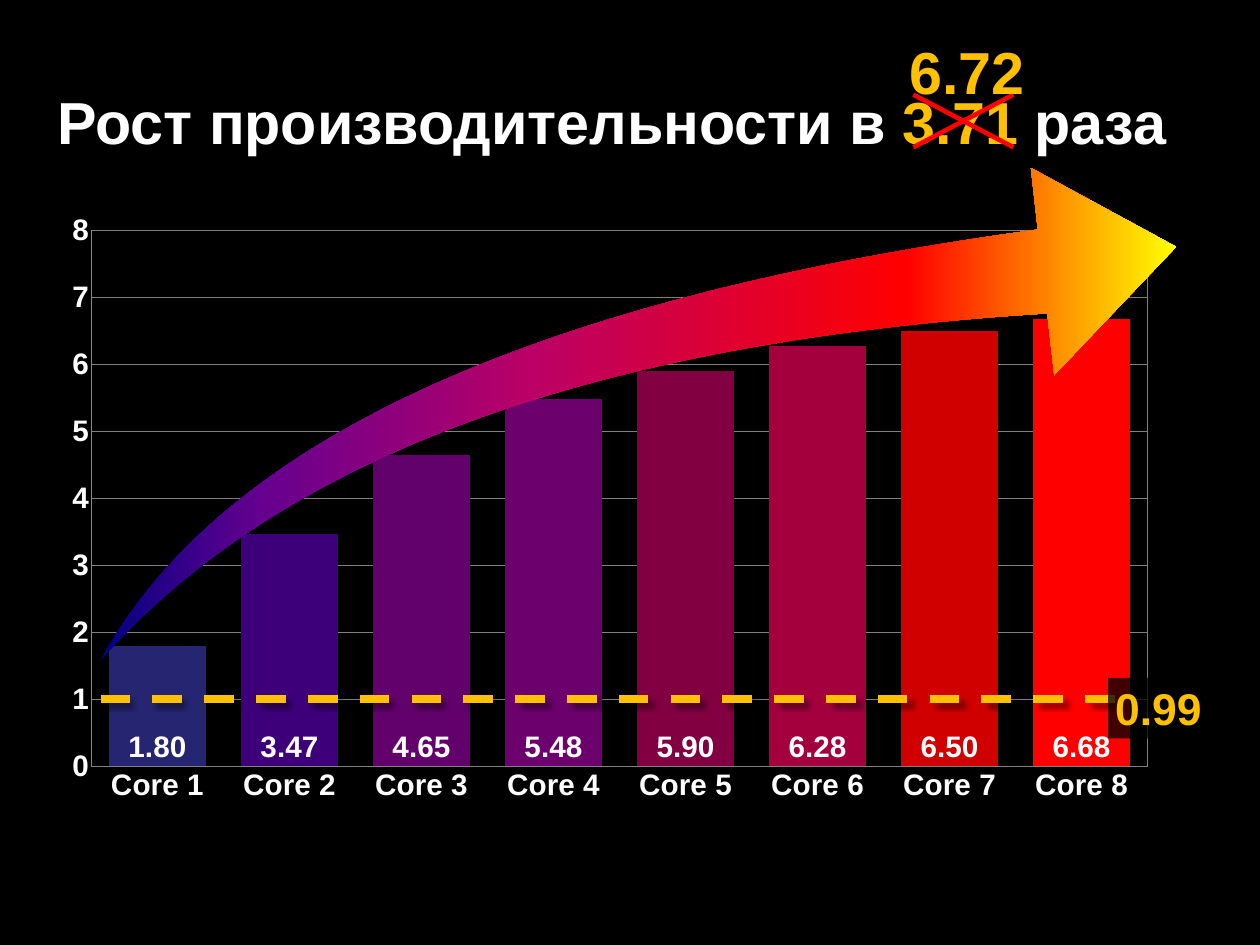
from lxml import etree
from pptx import Presentation
from pptx.chart.data import CategoryChartData
from pptx.dml.color import RGBColor
from pptx.enum.chart import XL_CHART_TYPE, XL_LABEL_POSITION, XL_TICK_MARK
from pptx.enum.dml import MSO_LINE
from pptx.enum.shapes import MSO_CONNECTOR, MSO_SHAPE
from pptx.enum.text import MSO_ANCHOR
from pptx.oxml import parse_xml
from pptx.oxml.ns import nsdecls, qn
from pptx.util import Inches, Pt

COLUMNS = XL_CHART_TYPE.COLUMN_CLUSTERED
INSIDE_BASE = XL_LABEL_POSITION.INSIDE_BASE
NO_TICK = XL_TICK_MARK.NONE
STRAIGHT = MSO_CONNECTOR.STRAIGHT
DASH = MSO_LINE.DASH
RECTANGLE = MSO_SHAPE.RECTANGLE
SWOOSH = MSO_SHAPE.SWOOSH_ARROW
MIDDLE = MSO_ANCHOR.MIDDLE

FONT = "Arial"
COLORS = {
    "background": "000000",
    "text": "FFFFFF",
    "accent": "FFC000",
    "cross": "FF0000",
    "grid": "808080",
    "axis": "00CC99",
}
SPEEDUPS = [1.8, 3.47, 4.65, 5.48, 5.9, 6.28, 6.5, 6.68]
BAR_COLORS = ["252571", "3D007A", "62006C", "6C006C",
              "820041", "A4003E", "D00000", "FF0000"]
ARROW_STOPS = [(0, "000082"), (15, "66008F"), (40, "BA0066"),
               (75, "FF0000"), (100, "FFFF00")]
PLOT_LAYOUT = {"x": 0.061, "y": 0.042, "w": 0.927, "h": 0.873}


def rgb(name):
    return RGBColor.from_string(COLORS[name])


def set_font(font, size, color=None):
    font.name = FONT
    font.size = Pt(size)
    font.bold = True
    if color:
        font.color.rgb = rgb(color)


def add_text(slide, box, runs, size, inset=None, anchor=None):
    """Add one line of text from (wording, colour) pairs."""
    frame = slide.shapes.add_textbox(*map(Inches, box)).text_frame
    frame.word_wrap = True
    if inset is not None:
        frame.margin_left = frame.margin_right = Inches(inset)
        frame.margin_top = frame.margin_bottom = Inches(inset)
    if anchor is not None:
        frame.vertical_anchor = anchor
    paragraph = frame.paragraphs[0]
    set_font(paragraph.font, size)
    for wording, color in runs:
        run = paragraph.add_run()
        run.text = wording
        set_font(run.font, size, color)


def add_line(slide, start, end, color, width, effects=""):
    line = slide.shapes.add_connector(STRAIGHT, *map(Inches, start + end))
    line.line.color.rgb = rgb(color)
    line.line.width = Pt(width)
    line._element.spPr.append(parse_xml(
        f'<a:effectLst {nsdecls("a")}>{effects}</a:effectLst>'))
    return line


def style_axis(axis, line_color):
    axis.major_tick_mark = axis.minor_tick_mark = NO_TICK
    set_font(axis.tick_labels.font, 32, "text")
    axis.format.line.color.rgb = rgb(line_color)


def fix_plot_area(chart):
    """Place the inner plot area and give it a thin border."""
    plot_area = chart._chartSpace.chart.plotArea
    for old_layout in plot_area.findall(qn("c:layout")):
        plot_area.remove(old_layout)
    modes = '<c:xMode val="edge"/><c:yMode val="edge"/>'
    places = "".join(f'<c:{side} val="{share}"/>'
                     for side, share in PLOT_LAYOUT.items())
    plot_area.insert(0, parse_xml(
        f'<c:layout {nsdecls("c")}><c:manualLayout><c:layoutTarget val="inner"/>'
        f'{modes}{places}</c:manualLayout></c:layout>'))
    plot_area.append(parse_xml(
        f'<c:spPr {nsdecls("c", "a")}><a:noFill/><a:ln w="9525"><a:solidFill>'
        f'<a:srgbClr val="{COLORS["grid"]}"/></a:solidFill></a:ln></c:spPr>'))


def add_speedup_chart(slide, box):
    data = CategoryChartData()
    data.categories = [f"Core {i}" for i in range(1, len(SPEEDUPS) + 1)]
    data.add_series("Series 1", SPEEDUPS)
    chart = slide.shapes.add_chart(COLUMNS, *map(Inches, box), data).chart
    chart.has_legend = chart.has_title = False
    chart.font.name = FONT
    chart.font.size = Pt(10)

    # Axes
    style_axis(chart.category_axis, "grid")
    values = chart.value_axis
    style_axis(values, "axis")
    values.minimum_scale, values.maximum_scale, values.major_unit = 0, 8, 1
    values.tick_labels.number_format = "0;[Red]0"
    values.tick_labels.number_format_is_linked = False
    values.major_gridlines.format.line.color.rgb = rgb("grid")

    # Bars and their labels
    plot = chart.plots[0]
    plot.gap_width = 35
    plot.vary_by_categories = False
    bars = plot.series[0]
    for i, color in enumerate(BAR_COLORS):
        fill = bars.points[i].format.fill
        fill.solid()
        fill.fore_color.rgb = RGBColor.from_string(color)
    labels = bars.data_labels
    labels.show_value = True
    labels.position = INSIDE_BASE
    labels.number_format = "0.00"
    labels.number_format_is_linked = False
    set_font(labels.font, 32, "text")
    fix_plot_area(chart)


def add_growth_arrow(slide, box):
    arrow = slide.shapes.add_shape(SWOOSH, *map(Inches, box))
    arrow.shadow.inherit = False
    arrow.adjustments[0], arrow.adjustments[1] = 0.17, 0.28
    arrow.line.fill.background()
    arrow.fill.gradient()
    arrow.fill.gradient_angle = 0
    stops = arrow._element.spPr.find(".//" + qn("a:gsLst"))
    for stop in list(stops):
        stops.remove(stop)
    for percent, color in ARROW_STOPS:
        stop = etree.SubElement(stops, qn("a:gs"), pos=str(percent * 1000))
        etree.SubElement(stop, qn("a:srgbClr"), val=color)


def add_baseline_label(slide, box, wording):
    label = slide.shapes.add_shape(RECTANGLE, *map(Inches, box))
    label.shadow.inherit = False
    label.line.fill.background()
    label.fill.solid()
    label.fill.fore_color.rgb = rgb("background")
    shade = label._element.spPr.find(".//" + qn("a:srgbClr"))
    etree.SubElement(shade, qn("a:alpha"), val="75000")
    label.text_frame.word_wrap = False
    label.text_frame.vertical_anchor = MIDDLE
    paragraph = label.text_frame.paragraphs[0]
    paragraph.text = wording
    set_font(paragraph.font, 48, "accent")


def main():
    prs = Presentation()
    prs.slide_width, prs.slide_height = Inches(18.9), Inches(14.18)
    slide = prs.slides.add_slide(prs.slide_layouts[6])
    slide.background.fill.solid()
    slide.background.fill.fore_color.rgb = rgb("background")

    # Title
    title = [("Рост производительности в ", "text"), ("3.71 ", "accent"),
             ("раза", "text")]
    add_text(slide, (0.86, 0.79, 17.07, 2.05), title, 64, 0, MIDDLE)

    # Chart and growth arrow
    add_speedup_chart(slide, (0.33, 3.07, 17.09, 9.21))
    add_growth_arrow(slide, (1.5, 2.52, 16.14, 7.4))

    # Baseline
    shadow = (f'<a:outerShdw blurRad="{Pt(4)}" dist="{Pt(7)}" dir="2700000">'
              '<a:srgbClr val="000000"><a:alpha val="40000"/></a:srgbClr>'
              '</a:outerShdw>')
    baseline = add_line(slide, (1.51, 10.49), (16.79, 10.49), "accent", 8, shadow)
    baseline.line.dash_style = DASH
    add_baseline_label(slide, (16.62, 10.17, 1.51, 0.91), "0.99")

    # Crossed-out figure and its replacement
    left, right, top, bottom = 13.7, 15.2, 1.42, 2.21
    add_line(slide, (left, top), (right, bottom), "cross", 5)
    add_line(slide, (left, bottom), (right, top), "cross", 5)
    add_text(slide, (13.54, 0.48, 1.97, 1.18), [("6.72", "accent")], 64)

    prs.save("out.pptx")


if __name__ == "__main__":
    main()
